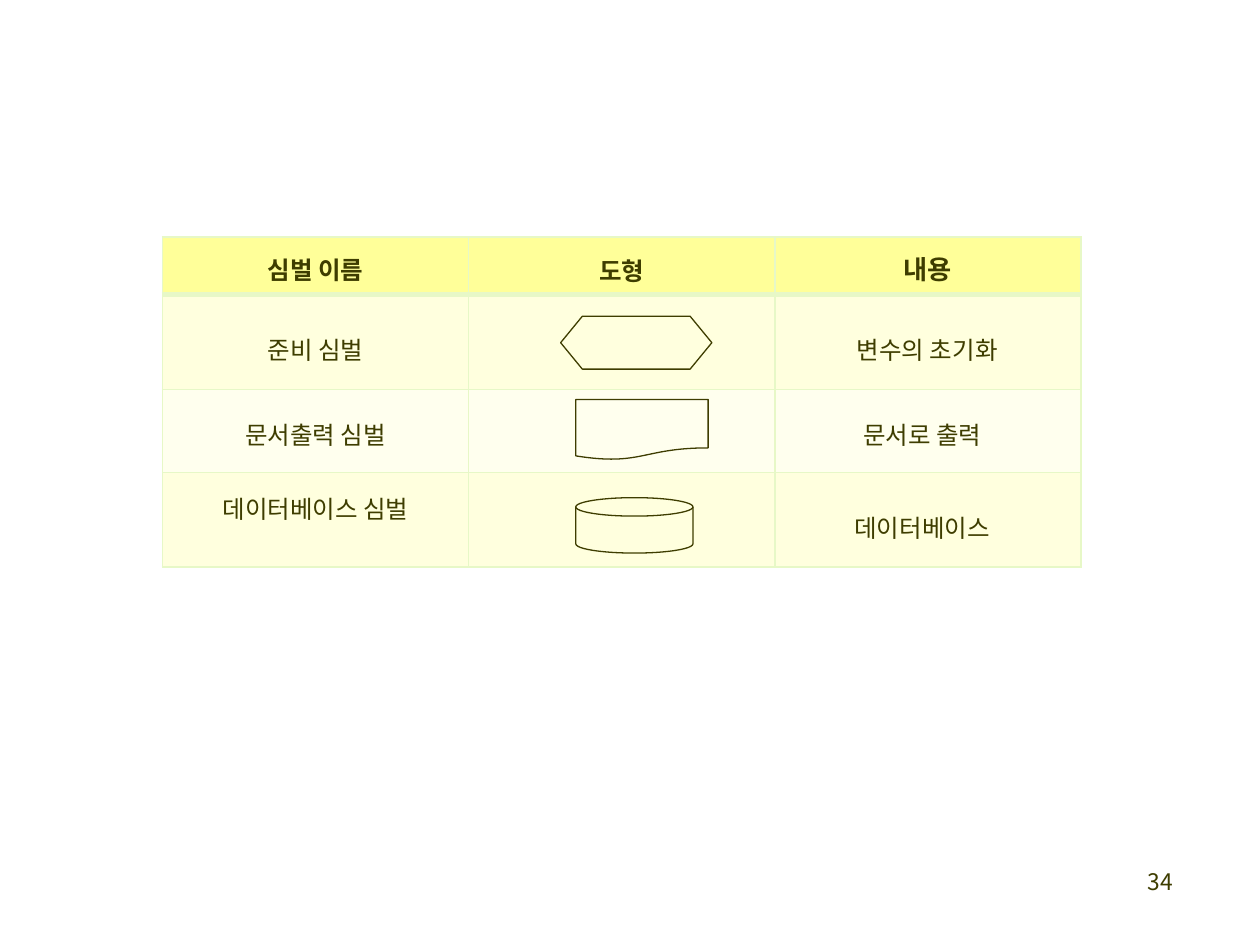
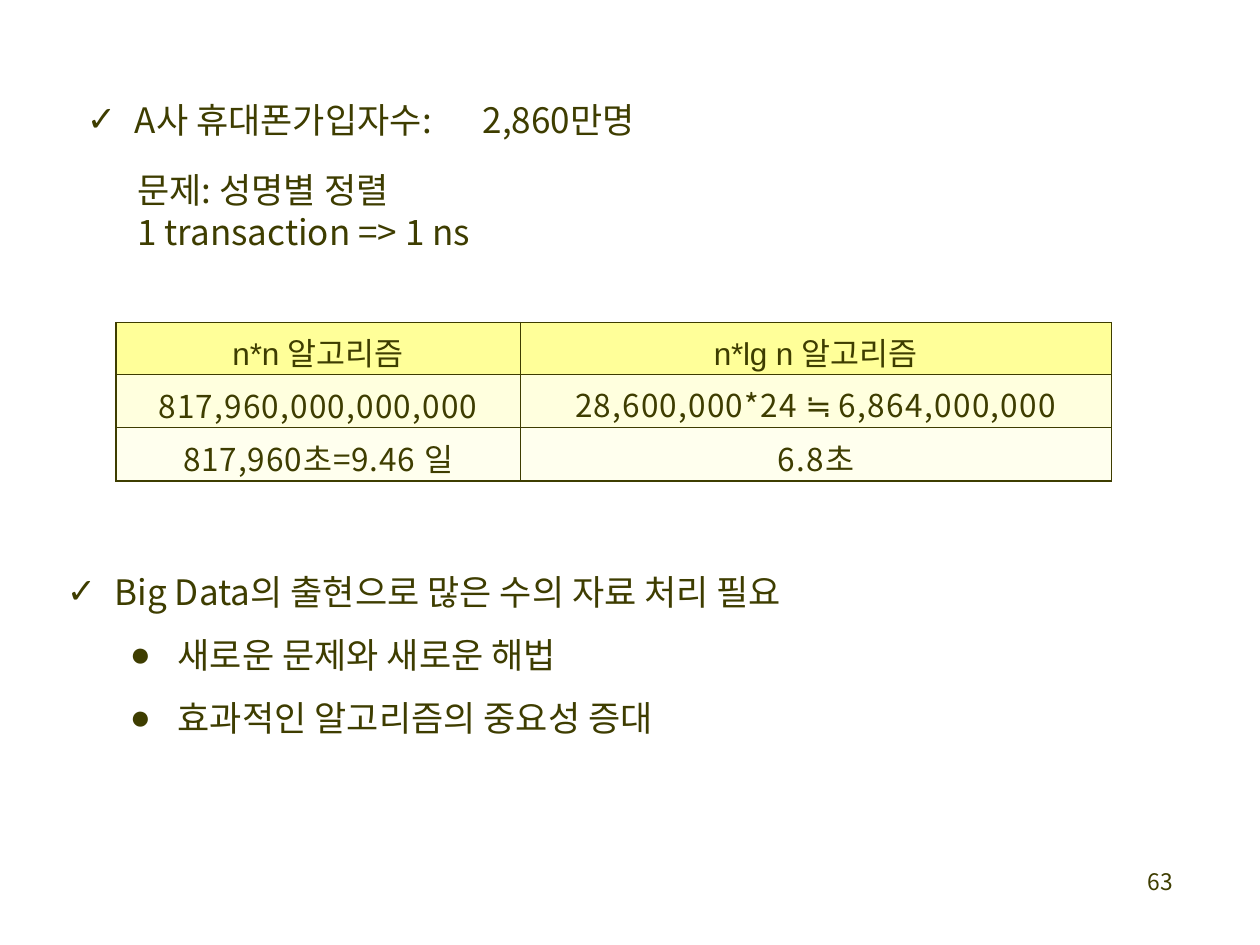
from lxml.etree import SubElement
from pptx import Presentation
from pptx.dml.color import RGBColor
from pptx.enum.shapes import MSO_SHAPE
from pptx.enum.text import MSO_ANCHOR, MSO_AUTO_SIZE, PP_ALIGN
from pptx.oxml import parse_xml
from pptx.oxml.ns import nsdecls, qn
from pptx.util import Inches, Pt

COLORS = {
    "ink": "3E3D00",
    "header": "FFFF99",
    "band_dark": "FFFFDE",
    "band_light": "FFFFEE",
    "pale_border": "E7F8C7",
}
FONT = "Noto Sans CJK KR"
LATIN_FONT = "Arial"
BLANK_LAYOUT, TWO_LISTS_LAYOUT = 6, 3
HANGING = 0.38
NO_MARGINS = {f"margin_{side}": 0 for side in ("left", "top", "right", "bottom")}


def rgb(color):
    return RGBColor.from_string(COLORS[color])


def set_attributes(target, values):
    for attribute, value in values.items():
        setattr(target, attribute, value)


def add_run(paragraph, text, size, font=FONT, bold=False, spacing=0):
    run = paragraph.add_run()
    run.text = text
    set_attributes(run.font, {"size": Pt(size), "name": font, "bold": bold})
    run.font.color.rgb = rgb("ink")
    properties = run.font._element
    SubElement(properties, qn("a:ea"), typeface=font)
    if spacing:
        properties.set("spc", str(round(spacing * 100)))


def add_page_number(slide, number):
    frame = slide.shapes.add_textbox(
        Inches(9.11), Inches(6.9), Inches(0.29), Inches(0.3)).text_frame
    set_attributes(frame, {**NO_MARGINS, "word_wrap": True})
    frame.paragraphs[0].line_spacing = Pt(14.7)
    add_run(frame.paragraphs[0], number, 13, spacing=0.2)


def set_borders(cell, color, widths):
    """Put lines round a cell; widths are points for L, R, T and B."""
    properties = cell._tc.get_or_add_tcPr()
    for position, (side, width) in enumerate(zip("LRTB", widths)):
        properties.insert(position, parse_xml(
            f'<a:ln{side} {nsdecls("a")} w="{Pt(width)}"><a:solidFill>'
            f'<a:srgbClr val="{COLORS[color]}"/></a:solidFill></a:ln{side}>'))


def fill_cell(cell, runs, top, left=None):
    """Write runs, centred unless a left margin is given."""
    set_attributes(cell, {
        **NO_MARGINS,
        "margin_top": Inches(top),
        "margin_left": Inches(left or 0),
        "vertical_anchor": MSO_ANCHOR.TOP,
    })
    paragraph = cell.text_frame.paragraphs[0]
    paragraph.alignment = PP_ALIGN.CENTER if left is None else PP_ALIGN.LEFT
    for run in runs:
        add_run(paragraph, **run)


def add_table(slide, left, top, widths, heights, rows, border, header_rule=1):
    table = slide.shapes.add_table(
        len(heights), len(widths), Inches(left), Inches(top),
        Inches(sum(widths)), Inches(sum(heights))).table
    table.horz_banding = False
    for column, width in zip(table.columns, widths):
        column.width = Inches(width)
    for row, height in zip(table.rows, heights):
        row.height = Inches(height)
    for r, row in enumerate(rows):
        band = "header" if r == 0 else "band_dark" if r % 2 else "band_light"
        above = header_rule if r == 1 else 1
        below = header_rule if r == 0 else 1
        for c, content in enumerate(row):
            cell = table.cell(r, c)
            cell.fill.solid()
            cell.fill.fore_color.rgb = rgb(band)
            set_borders(cell, border, (1, 1, above, below))
            fill_cell(cell, *content)


def add_symbol(slide, preset, left, top, width, height):
    symbol = slide.shapes.add_shape(
        preset, Inches(left), Inches(top), Inches(width), Inches(height))
    symbol.shadow.inherit = False
    symbol.fill.background()
    symbol.line.color.rgb = rgb("ink")
    symbol.line.width = Pt(0.75)
    return symbol


def set_indent(paragraph, indent, bullet, tab):
    properties = paragraph._p.get_or_add_pPr()
    properties.set("marL", str(Inches(indent)))
    properties.set("indent", str(-Inches(HANGING) if bullet else 0))
    if bullet:
        SubElement(properties, qn("a:buChar"), char=bullet)
    else:
        SubElement(properties, qn("a:buNone"))
    if tab:
        tabs = SubElement(properties, qn("a:tabLst"))
        for position in (indent, tab):
            SubElement(tabs, qn("a:tab"), pos=str(Inches(position)), algn="l")


def fill_list(placeholder, left, top, width, height, inset, items):
    """Write items of (text, level, bullet, indent, space before, tab)."""
    set_attributes(placeholder, {
        "left": Inches(left), "top": Inches(top),
        "width": Inches(width), "height": Inches(height)})
    frame = placeholder.text_frame
    set_attributes(frame, {
        **NO_MARGINS, "margin_top": Inches(inset),
        "word_wrap": True, "auto_size": MSO_AUTO_SIZE.NONE})
    for index, (text, level, bullet, indent, space, tab) in enumerate(items):
        paragraph = frame.add_paragraph() if index else frame.paragraphs[0]
        set_indent(paragraph, indent, bullet, tab)
        set_attributes(paragraph, {"level": level, "space_before": Pt(space)})
        add_run(paragraph, text, 20)


def build_symbol_slide(deck):
    slide = deck.slides.add_slide(deck.slide_layouts[BLANK_LAYOUT])

    def heading(text, size=14):
        return [{"text": text, "size": size, "bold": True}]

    def body(text):
        return [{"text": text, "size": 14}]

    empty = ([], 0)
    rows = [
        [(heading("심벌 이름"), 0.11), (heading("도형"), 0.12),
         (heading("내용", 15), 0.1)],
        [(body("준비 심벌"), 0.29), empty, (body("변수의 초기화"), 0.29, 0.65)],
        [(body("문서출력 심벌"), 0.21), empty, (body("문서로 출력"), 0.21, 0.7)],
        [(body("데이터베이스 심벌"), 0.14), empty, (body("데이터베이스"), 0.29, 0.63)],
    ]
    add_table(slide, 1.29, 1.88, [2.43] * 3, [0.46, 0.75, 0.66, 0.75],
              rows, "pale_border", header_rule=3)
    preparation = add_symbol(slide, MSO_SHAPE.HEXAGON, 4.45, 2.51, 1.2, 0.42)
    preparation.adjustments[0] = 0.41
    add_symbol(slide, MSO_SHAPE.FLOWCHART_DOCUMENT, 4.57, 3.17, 1.05, 0.48)
    add_symbol(slide, MSO_SHAPE.FLOWCHART_MAGNETIC_DISK, 4.57, 3.95, 0.93, 0.44)
    add_page_number(slide, "34")


def build_algorithm_slide(deck):
    slide = deck.slides.add_slide(deck.slide_layouts[TWO_LISTS_LAYOUT])
    title, problem, conclusion = slide.placeholders
    title._element.getparent().remove(title._element)

    def heading(formula):
        return [{"text": formula, "size": 18, "font": LATIN_FONT, "spacing": -0.1},
                {"text": "알고리즘", "size": 18}]

    def body(*parts):
        return [{"text": text, "size": 18, "spacing": spacing}
                for text, spacing in parts]

    fill_list(problem, 0.68, 0.77, 4.39, 1.58, 0.01, [
        ("A사 휴대폰가입자수:\t2,860만명", 0, "✓", 0.39, 0, 3.15),
        ("문제: 성명별 정렬", 0, None, 0.41, 16, None),
        ("1 transaction => 1 ns", 0, None, 0.41, 0, None),
    ])
    rows = [
        [(heading("n*n "), 0.05), (heading("n*lg n "), 0.05)],
        [(body(("817,960,000,000,000", 0.7)), 0.06),
         (body(("28,600,000*24", 0.7), (" ≒ ", 0), ("6,864,000,000", 0.8)), 0.05)],
        [(body(("817,960초=9.46 ", 0.5), ("일", 0)), 0.06),
         (body(("6.8초", 0.7)), 0.06)],
    ]
    add_table(slide, 0.92, 2.56, [3.21, 4.69], [0.41, 0.4, 0.4], rows, "ink")
    fill_list(conclusion, 0.52, 4.35, 6.23, 1.53, 0.18, [
        ("Big Data의 출현으로 많은 수의 자료 처리 필요", 0, "✓", 0.39, 0, None),
        ("새로운 문제와 새로운 해법", 1, "●", 0.89, 12, None),
        ("효과적인 알고리즘의 중요성 증대", 1, "●", 0.89, 12, None),
    ])
    add_page_number(slide, "63")


def main():
    deck = Presentation()
    deck.slide_width, deck.slide_height = Inches(10), Inches(7.5)
    build_symbol_slide(deck)
    build_algorithm_slide(deck)
    deck.save("out.pptx")


if __name__ == "__main__":
    main()
